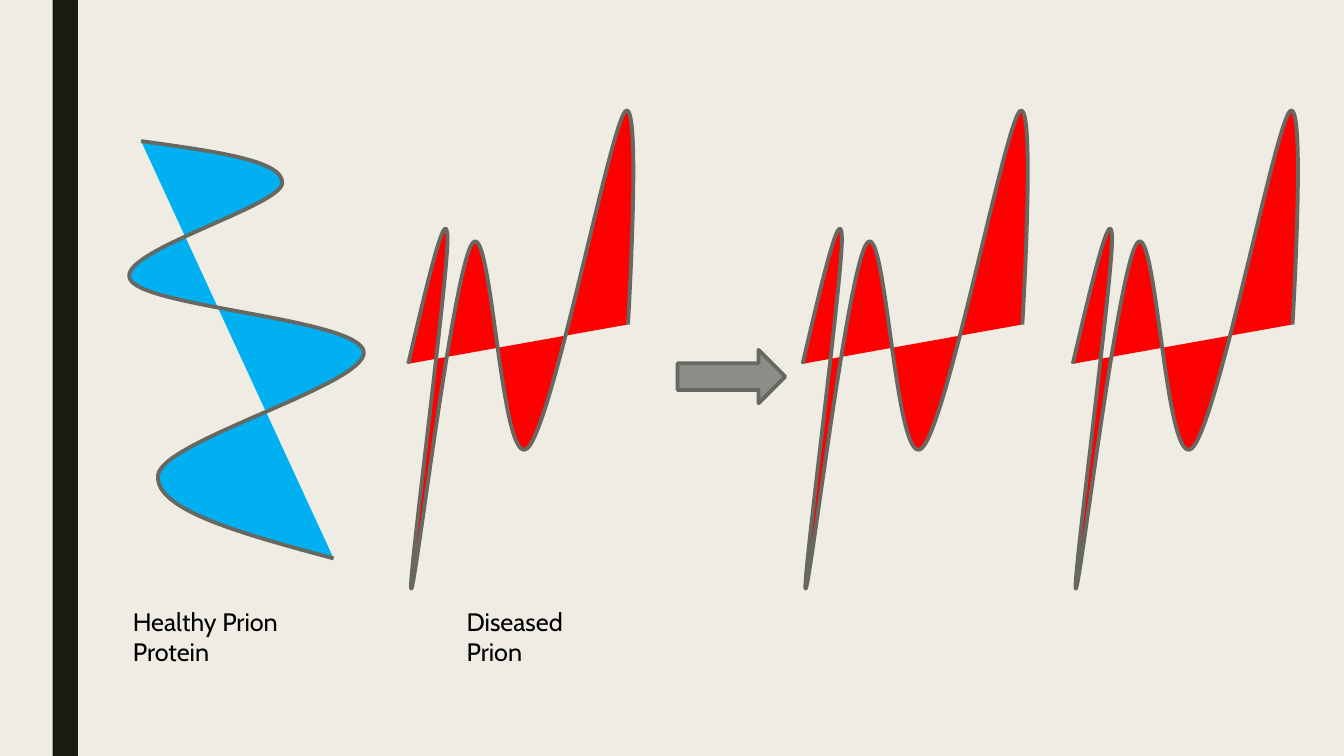
"""Build a slide on healthy and diseased prion proteins."""
from dataclasses import dataclass

from lxml import etree
from pptx import Presentation
from pptx import util as u
from pptx.dml.color import RGBColor
from pptx.enum import shapes, text
from pptx.oxml import ns
from pptx.shapes.autoshape import Shape
from pptx.slide import Slide

CREAM = RGBColor(0xEF, 0xED, 0xE3)
DARK = RGBColor(0x19, 0x1B, 0x0E)
BLUE = RGBColor(0x00, 0xB0, 0xF0)
RED = RGBColor(0xFF, 0x00, 0x00)
GREY = RGBColor(0x8C, 0x8D, 0x86)
EDGE = RGBColor(0x68, 0x68, 0x63)
BLACK = RGBColor(0x00, 0x00, 0x00)

FONT = "Cabin"
Dot = tuple[float, float]


@dataclass(frozen=True)
class Fold:
    dots: list[Dot]
    left: float
    top: float
    width: float
    height: float
    fill: RGBColor


@dataclass(frozen=True)
class Block:
    kind: shapes.MSO_SHAPE
    left: float
    top: float
    width: float
    height: float
    fill: RGBColor
    edge: bool


@dataclass(frozen=True)
class Label:
    words: str
    left: float
    width: float


HEALTHY = Fold([
    (100.8, 100.8),
    (151.9, 108), (203, 114.5), (201.6, 131),
    (200.2, 147.6), (82.8, 180), (92.9, 199.4),
    (102.2, 219.6), (256.3, 227.5), (259.9, 251.3),
    (262.8, 274.3), (116.6, 314.6), (113, 339.1),
    (109.4, 364.3), (174.2, 381.6), (238.3, 398.9),
], 92.2, 100.8, 167.8, 298.1, BLUE)
SICK = Fold([
    (0, 259.9),
    (13.7, 201.6), (27.4, 143.3), (28.1, 169.9),
    (28.8, 196.6), (-0.7, 419.8), (2.2, 420.5),
    (5, 421.2), (32.4, 190.1), (46.1, 173.5),
    (59.8, 157), (66.2, 335.5), (85, 320.4),
    (103, 304.6), (143.3, 95), (154.8, 79.9),
    (167, 65.5), (157, 231.8), (157, 231.8),
], 0, 79.2, 161.3, 341.3, RED)
BAR = Block(shapes.MSO_SHAPE.RECTANGLE, 37.6, 0, 18, 540, DARK, False)
ARROW = Block(shapes.MSO_SHAPE.RIGHT_ARROW, 484, 249.9, 77, 38.2, GREY, True)
LABELS = [
    Label("Healthy Prion Protein", 87.8, 176),
    Label("Diseased Prion", 326.2, 125.7),
]


def paint(shape: Shape, fill: RGBColor, edge: bool) -> None:
    """Set the fill and outline of a shape."""
    shape.shadow.inherit = False
    shape.fill.solid()
    shape.fill.fore_color.rgb = fill
    if edge:
        shape.line.color.rgb = EDGE
        shape.line.width = u.Pt(2.75)
    else:
        shape.line.fill.background()


def draw_block(slide: Slide, block: Block) -> None:
    """Draw a preset shape."""
    shape = slide.shapes.add_shape(
        block.kind, u.Pt(block.left), u.Pt(block.top),
        u.Pt(block.width), u.Pt(block.height))
    paint(shape, block.fill, block.edge)


def bend(shape: Shape) -> None:
    """Turn each three straight segments into one cubic curve."""
    lines = shape.element.xpath(".//a:lnTo")
    for i in range(0, len(lines), 3):
        curve = etree.Element(ns.qn("a:cubicBezTo"))
        lines[i].addprevious(curve)
        for line in lines[i:i + 3]:
            curve.append(line[0])
            line.getparent().remove(line)


def trim(shape: Shape, fold: Fold, left: float) -> None:
    """Fit the frame to the curve, leaving its handles outside."""
    x, y = u.Pt(fold.left + left), u.Pt(fold.top)
    wide, high = u.Pt(fold.width), u.Pt(fold.height)
    for dot in shape.element.xpath(".//a:pathLst//a:pt"):
        dot.set("x", str(int(dot.get("x")) + shape.left - x))
        dot.set("y", str(int(dot.get("y")) + shape.top - y))
    track = shape.element.xpath(".//a:pathLst/*")[0]
    track.set("w", str(wide))
    track.set("h", str(high))
    shape.left, shape.top, shape.width, shape.height = x, y, wide, high


def draw_prion(slide: Slide, fold: Fold, left: float) -> None:
    """Draw a folded protein as an open, filled curve."""
    dots = [(u.Pt(x + left), u.Pt(y)) for x, y in fold.dots]
    pen = slide.shapes.build_freeform(*dots[0], scale=1.0)
    pen.add_line_segments(dots[1:], close=False)
    shape = pen.convert_to_shape()
    bend(shape)
    trim(shape, fold, left)
    paint(shape, fold.fill, True)


def draw_label(slide: Slide, label: Label) -> None:
    """Write the caption under a protein."""
    box = slide.shapes.add_textbox(
        u.Pt(label.left), u.Pt(429.3), u.Pt(label.width), u.Pt(29.1))
    frame = box.text_frame
    frame.word_wrap = False
    frame.auto_size = text.MSO_AUTO_SIZE.SHAPE_TO_FIT_TEXT
    run = frame.paragraphs[0].add_run()
    run.text = label.words
    run.font.name = FONT
    run.font.size = u.Pt(18)
    run.font.color.rgb = BLACK


def main() -> None:
    """Build and save the slide."""
    deck = Presentation()
    deck.slide_width, deck.slide_height = u.Pt(960), u.Pt(540)
    slide = deck.slides.add_slide(deck.slide_layouts[6])
    slide.background.fill.solid()
    slide.background.fill.fore_color.rgb = CREAM
    draw_block(slide, BAR)
    draw_prion(slide, HEALTHY, 0)
    draw_prion(slide, SICK, 291.6)
    draw_block(slide, ARROW)
    for left in (766.3, 573.3):
        draw_prion(slide, SICK, left)
    for label in LABELS:
        draw_label(slide, label)
    deck.save("out.pptx")


if __name__ == "__main__":
    main()
